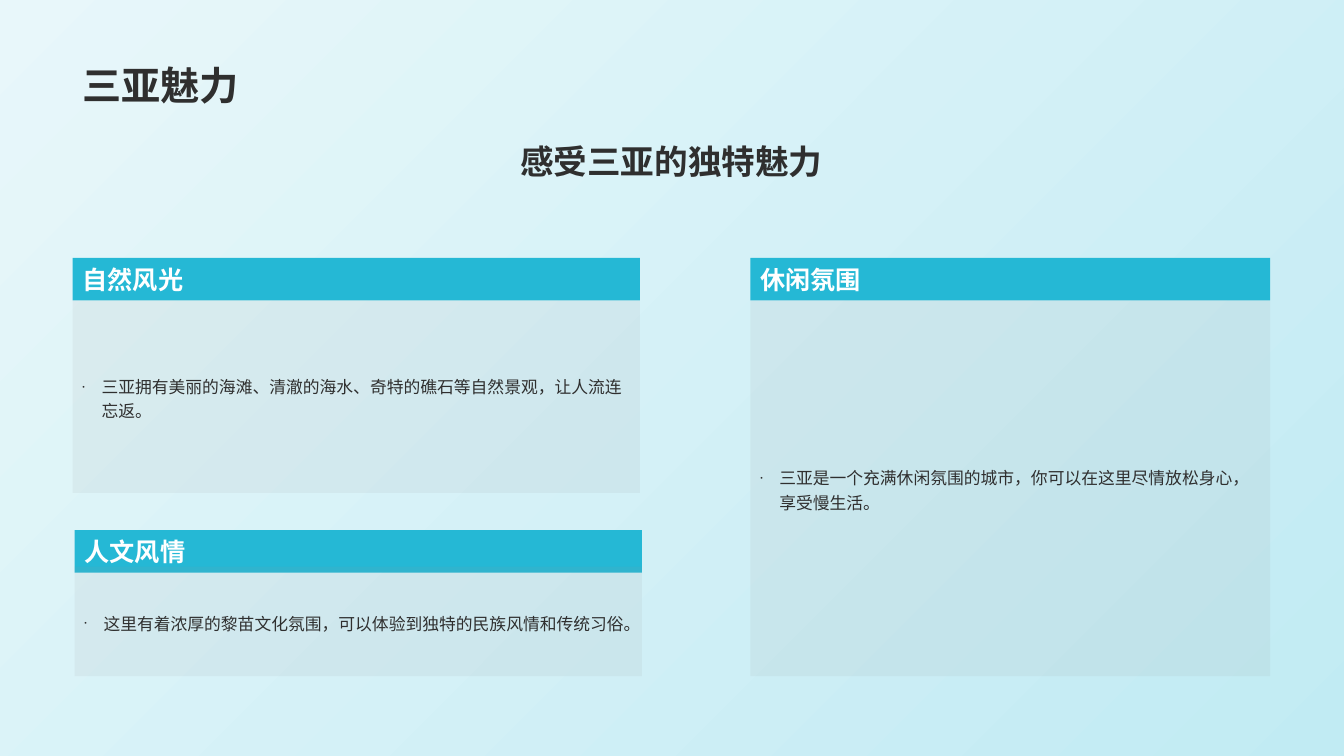
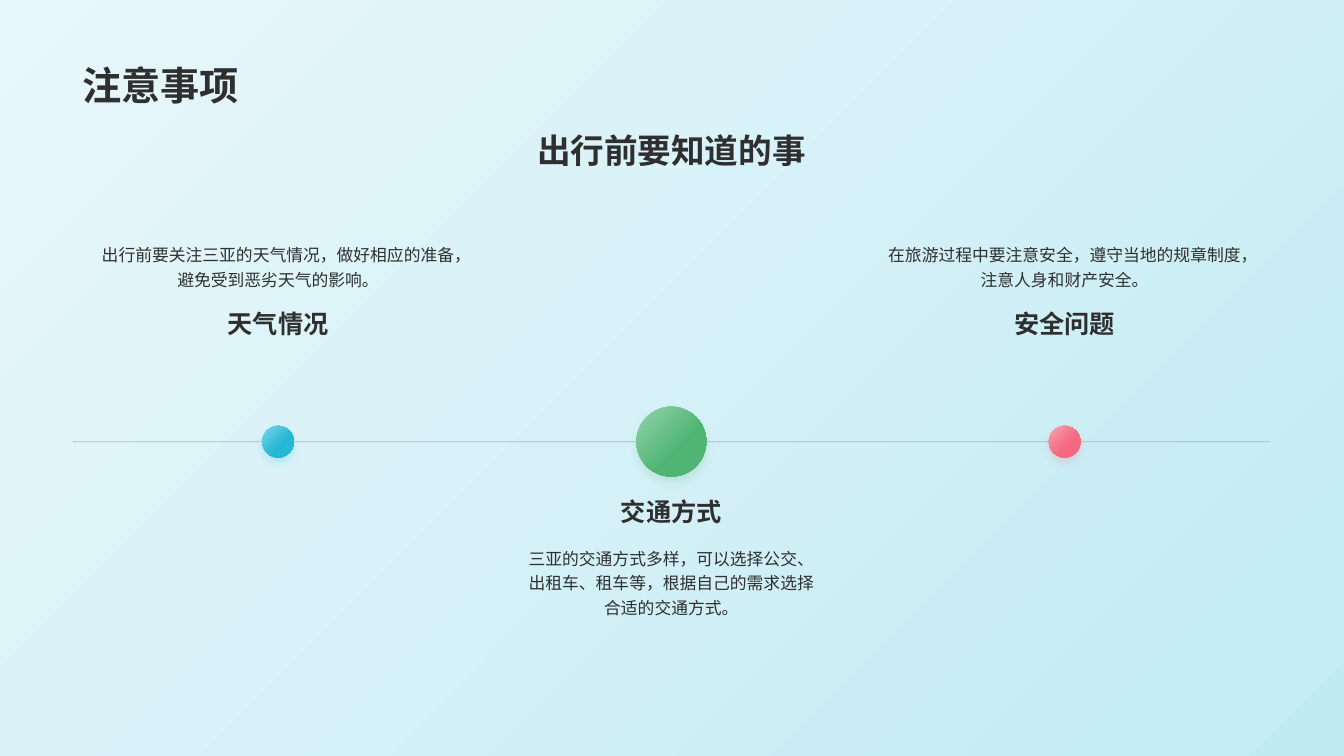
from typing import NamedTuple

from lxml import etree
from pptx import Presentation
from pptx import util as u
from pptx.dml import color
from pptx.enum import shapes, text
from pptx.oxml import ns

FONT = "Arial"
INK, WHITE, GREY, SLATE = "2F2F2F", "FFFFFF", "979797", "778495"
TEAL, GREEN, CORAL = "25B8D5", "50B574", "F36980"
PALE = {TEAL: "7AD6E8", GREEN: "96D3AC", CORAL: "F8A5B3"}
LEFT, CENTER = text.PP_ALIGN.LEFT, text.PP_ALIGN.CENTER
TOP, MIDDLE, BOTTOM = text.MSO_ANCHOR.TOP, text.MSO_ANCHOR.MIDDLE, text.MSO_ANCHOR.BOTTOM


class Box(NamedTuple):
    """Left, top, width and height in centimetres."""
    left: float
    top: float
    width: float
    height: float

    def lengths(self):
        """Return the four measures as slide lengths."""
        return [u.Cm(value) for value in self]


PAGE = Box(0, 0, 33.87, 19.05)
CONTENT = Box(1.83, 5.64, 30.18, 11.4)


def rgb(value):
    """Turn a hex string into a colour."""
    return color.RGBColor.from_string(value)


def child(parent, tag, **attributes):
    """Append a drawing element to a parent and return it."""
    element = etree.SubElement(parent, ns.qn(tag))
    for name, value in attributes.items():
        element.set(name, str(value))
    return element


def set_opacity(shape, percent):
    """Make the first solid colour of a shape partly transparent."""
    solid = shape.element.spPr.find(".//" + ns.qn("a:srgbClr"))
    child(solid, "a:alpha", val=percent * 1000)


def paint_gradient(fill, start, end, angle, end_position=1.0):
    """Fill with two colours along a counter-clockwise angle."""
    fill.gradient()
    fill.gradient_angle = angle
    first, last = fill.gradient_stops
    first.color.rgb, first.position = rgb(start), 0
    last.color.rgb, last.position = rgb(end), end_position


def add_block(page, box, fill, opacity=100, kind=shapes.MSO_SHAPE.RECTANGLE):
    """Add a borderless shape with a solid fill."""
    block = page.shapes.add_shape(kind, *box.lengths())
    block.shadow.inherit = False
    block.line.fill.background()
    block.fill.solid()
    block.fill.fore_color.rgb = rgb(fill)
    if opacity < 100:
        set_opacity(block, opacity)
    return block


def write(shape, words, size, ink=INK, bold=False, align=LEFT, anchor=TOP,
          spacing=None, bullet=False):
    """Write one styled paragraph into a shape."""
    frame = shape.text_frame
    frame.word_wrap = True
    frame.vertical_anchor = anchor
    frame.text = words
    para = frame.paragraphs[0]
    para.alignment = align
    if spacing:
        para.line_spacing = spacing
    if bullet:
        indent = u.Cm(0.48)
        properties = para._p.get_or_add_pPr()
        properties.set("marL", str(indent))
        properties.set("indent", str(-indent))
        child(properties, "a:buSzPct", val=25000)
        child(properties, "a:buFont", typeface=FONT)
        child(properties, "a:buChar", char="●")
    for span in para.runs:
        span.font.name = FONT
        span.font.size = u.Pt(size)
        span.font.bold = bold
        span.font.color.rgb = rgb(ink)
        span._r.get_or_add_rPr().set("lang", "zh-CN")


def add_words(page, box, words, size, **style):
    """Add a text box holding one paragraph."""
    write(page.shapes.add_textbox(*box.lengths()), words, size, **style)


def add_page(deck, title, subtitle, subtitle_top):
    """Add a slide with the shared background, title and subtitle."""
    page = deck.slides.add_slide(deck.slide_layouts[6])
    paint_gradient(page.background.fill, "D3F1F7", WHITE, 135)
    add_block(page, PAGE, TEAL, 10)
    add_words(page, Box(CONTENT.left, 0.36, CONTENT.width, 2.49), title, 28,
              bold=True, anchor=BOTTOM)
    add_words(page, Box(CONTENT.left, subtitle_top, CONTENT.width, 1.75),
              subtitle, 24, bold=True, align=CENTER)
    return page


def add_card(page, box, heading, detail, overlap=0.0):
    """Add a heading band with a translucent panel below it."""
    band_height = 1.07
    band = add_block(page, box._replace(height=band_height), TEAL)
    write(band, heading, 18, ink=WHITE, bold=True, anchor=MIDDLE)
    offset = band_height - overlap
    panel_box = box._replace(top=box.top + offset, height=box.height - offset)
    panel = add_block(page, panel_box, GREY, 10)
    write(panel, detail, 12, anchor=MIDDLE, spacing=1.2, bullet=True)


def add_cards(page, box):
    """Place two stacked cards on the left and a tall one on the right."""
    wide, narrow = 14.3, 13.1
    lower_top = box.top + 6.86
    bottom = box.top + box.height
    add_card(page, Box(box.left, box.top, wide, 5.92), "自然风光",
             "三亚拥有美丽的海滩、清澈的海水、奇特的礁石等自然景观，让人流连忘返。")
    add_card(page, Box(box.left + 0.05, lower_top, wide, bottom - lower_top), "人文风情",
             "这里有着浓厚的黎苗文化氛围，可以体验到独特的民族风情和传统习俗。", 0.15)
    add_card(page, Box(box.left + box.width - narrow, box.top, narrow, box.height), "休闲氛围",
             "三亚是一个充满休闲氛围的城市，你可以在这里尽情放松身心，享受慢生活。")


def add_dot(page, center, middle, size, fill):
    """Add a gradient circle with a soft shadow of its own colour."""
    box = Box(center - size / 2, middle - size / 2, size, size)
    dot = add_block(page, box, fill, kind=shapes.MSO_SHAPE.OVAL)
    paint_gradient(dot.fill, PALE[fill], fill, 315, 0.6)
    effects = dot.element.spPr.find(ns.qn("a:effectLst"))
    shadow = child(effects, "a:outerShdw", blurRad=u.Pt(6), dist=u.Pt(4),
                   dir=90 * 60000, algn="t", rotWithShape=0)
    child(child(shadow, "a:srgbClr", val=fill), "a:alpha", val=20000)


def add_milestone(page, center, middle, fill, heading, detail, above):
    """Add a dot with its heading and detail above or below the axis."""
    if above:
        size, width = 0.8, 9.55
        heading_top, heading_height, heading_anchor = -3.48, 2.21, TOP
        detail_top, detail_height, detail_anchor = -5.49, 1.78, BOTTOM
    else:
        size, width = 1.76, 8
        heading_top, heading_height, heading_anchor = 0.86, 1.4, BOTTOM
        detail_top, detail_height, detail_anchor = 2.48, 3.43, TOP
    left = center - width / 2
    add_dot(page, center, middle, size, fill)
    add_words(page, Box(left, middle + heading_top, width, heading_height), heading, 18,
              bold=True, align=CENTER, anchor=heading_anchor)
    add_words(page, Box(left, middle + detail_top, width, detail_height), detail, 12,
              align=CENTER, anchor=detail_anchor, spacing=1.2)


def add_timeline(page, box):
    """Draw a horizontal axis with three evenly spaced milestones."""
    middle = box.top + 5.49
    axis = page.shapes.add_connector(
        shapes.MSO_CONNECTOR.STRAIGHT, u.Cm(box.left), u.Cm(middle),
        u.Cm(box.left + box.width), u.Cm(middle))
    axis.line.width = u.Pt(0.5)
    axis.line.color.rgb = rgb(SLATE)
    set_opacity(axis, 50)
    child(axis.element.spPr, "a:effectLst")
    milestones = [
        (TEAL, "天气情况", "出行前要关注三亚的天气情况，做好相应的准备，避免受到恶劣天气的影响。", True),
        (GREEN, "交通方式",
         "三亚的交通方式多样，可以选择公交、出租车、租车等，根据自己的需求选择合适的交通方式。", False),
        (CORAL, "安全问题", "在旅游过程中要注意安全，遵守当地的规章制度，注意人身和财产安全。", True),
    ]
    for index, milestone in enumerate(milestones):
        center = box.left + box.width / 2 + (index - 1) * 9.91
        add_milestone(page, center, middle, *milestone)


def main():
    """Build and save the deck."""
    deck = Presentation()
    deck.slide_width, deck.slide_height = u.Cm(PAGE.width), u.Cm(PAGE.height)
    charm = add_page(deck, "三亚魅力", "感受三亚的独特魅力", 3.43)
    add_cards(charm, CONTENT._replace(top=6.5, height=10.54))
    advice = add_page(deck, "注意事项", "出行前要知道的事", 3.15)
    add_timeline(advice, CONTENT)
    deck.save("out.pptx")


if __name__ == "__main__":
    main()
